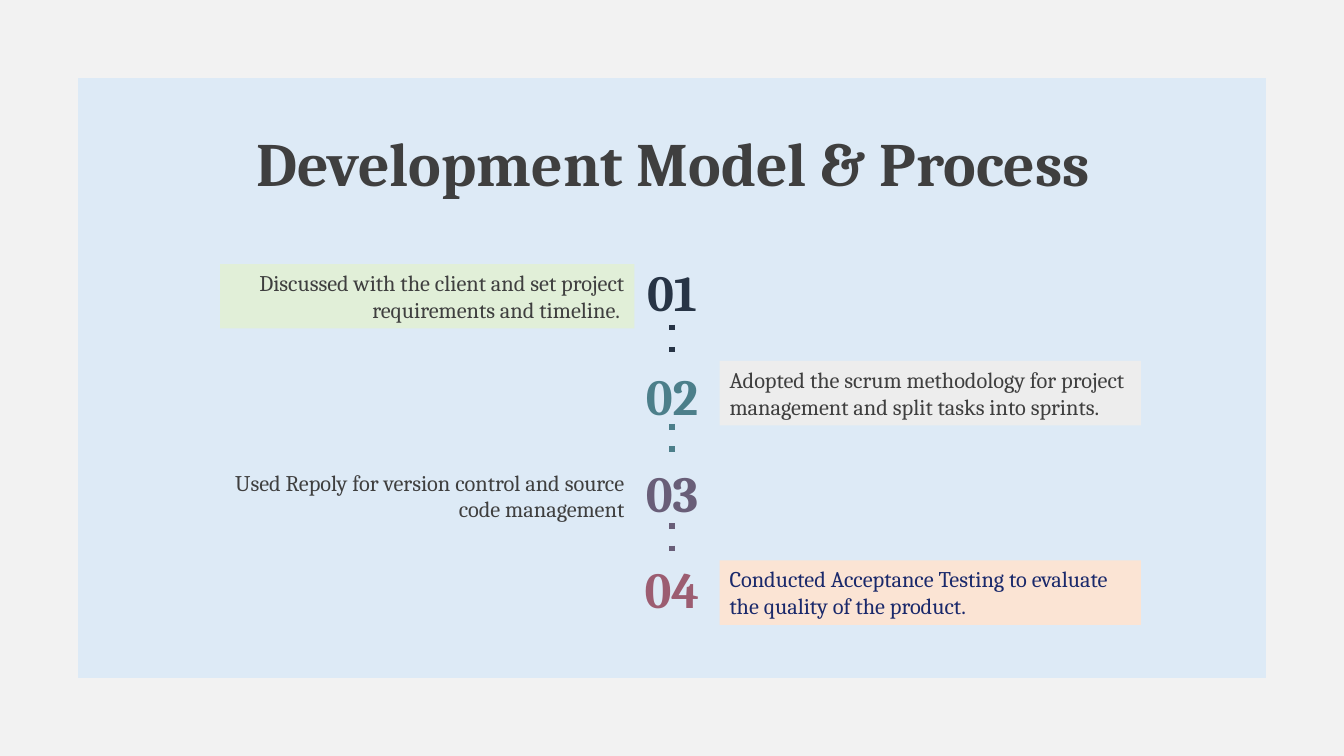
"""Build the development model and process slide."""
from lxml import etree
from pptx import Presentation
from pptx.dml.color import RGBColor
from pptx.enum import shapes, text
from pptx.oxml import ns
from pptx.util import Pt

HUES = {
    "page": "DDEAF6", "frame": "F2F2F2", "ink": "3F3F3F", "blue": "1A296B",
    "navy": "273445", "teal": "4C7F8A", "plum": "695E78", "rose": "9C5D71",
    "green": "E1EFD8", "grey": "EDEDED", "peach": "FBE4D4",
}
LEFT, RIGHT = text.PP_ALIGN.LEFT, text.PP_ALIGN.RIGHT
CENTER = text.PP_ALIGN.CENTER
SIDES = {RIGHT: (157.2, 296), LEFT: (514, 301)}
STEPS = [
    ("01", 182.9, "navy", 188.6, RIGHT, "green", "ink",
     "Discussed with the client and set project requirements and timeline. "),
    ("02", 257, "teal", 257.8, LEFT, "grey", "ink",
     "Adopted the scrum methodology for project management and split tasks into sprints."),
    ("03", 326.2, "plum", 331.2, RIGHT, "page", "ink",
     "Used Repoly for version control and source code management"),
    ("04", 395.3, "rose", 400.3, LEFT, "peach", "blue",
     "Conducted Acceptance Testing to evaluate the quality of the product."),
]


def hue(name):
    """Return the named colour."""
    return RGBColor.from_string(HUES[name])


def apply(item, form):
    """Set each attribute in form on item."""
    for key, value in form.items():
        setattr(item, key, value)


def write(shape, words, size, color, align, bold=False):
    """Put one formatted paragraph in a shape."""
    frame = shape.text_frame
    apply(frame, {"word_wrap": True, "vertical_anchor": text.MSO_ANCHOR.TOP,
                  "auto_size": text.MSO_AUTO_SIZE.NONE})
    para = frame.paragraphs[0]
    para.alignment = align
    run = para.add_run()
    run.text = words
    apply(run.font, {"name": "Cambria", "size": Pt(size), "bold": bold})
    run.font.color.rgb = hue(color)


def block(slide, kind, box, fill):
    """Add a plain filled shape."""
    shape = slide.shapes.add_shape(kind, *map(Pt, box))
    shape.shadow.inherit = False
    shape.fill.solid()
    shape.fill.fore_color.rgb = hue(fill)
    shape.line.fill.background()
    return shape


def head(slide, words):
    """Place and fill the title."""
    title = slide.shapes.title
    apply(title, {"left": Pt(57), "top": Pt(85.7),
                  "width": Pt(848), "height": Pt(60.5)})
    write(title, words, 44, "ink", CENTER, True)


def label(slide, words, top, color):
    """Add a step number on the centre line."""
    box = slide.shapes.add_textbox(Pt(440.5), Pt(top), Pt(79), Pt(51))
    write(box, words, 36, color, CENTER, True)


def card(slide, words, top, side, fill, color):
    """Add a step description beside the centre line."""
    left, width = SIDES[side]
    shape = block(slide, shapes.MSO_SHAPE.RECTANGLE, (left, top, width, 46), fill)
    write(shape, words, 16, color, side)


def dots(slide, top, color):
    """Add a dotted link between two step numbers."""
    link = slide.shapes.add_connector(
        shapes.MSO_CONNECTOR.STRAIGHT, Pt(480), Pt(top), Pt(480), Pt(top + 29))
    link.line.width = Pt(4)
    link.line.color.rgb = hue(color)
    props = link._element.spPr
    etree.SubElement(props.find(ns.qn("a:ln")), ns.qn("a:prstDash"), val="dot")
    etree.SubElement(props, ns.qn("a:effectLst"))


def main():
    """Build and save the slide."""
    deck = Presentation()
    apply(deck, {"slide_width": Pt(960), "slide_height": Pt(540)})
    slide = deck.slides.add_slide(deck.slide_layouts[5])
    slide.background.fill.solid()
    slide.background.fill.fore_color.rgb = hue("page")
    edge = block(slide, shapes.MSO_SHAPE.FRAME, (0, 0, 960, 540), "frame")
    edge.adjustments[0] = 0.103
    head(slide, "Development Model & Process")
    for i, (num, top, tint, low, side, fill, color, words) in enumerate(STEPS):
        label(slide, num, top, tint)
        card(slide, words, low, side, fill, color)
        if i < len(STEPS) - 1:
            dots(slide, 231.8 + 71 * i, tint)
    deck.save("out.pptx")


if __name__ == "__main__":
    main()
